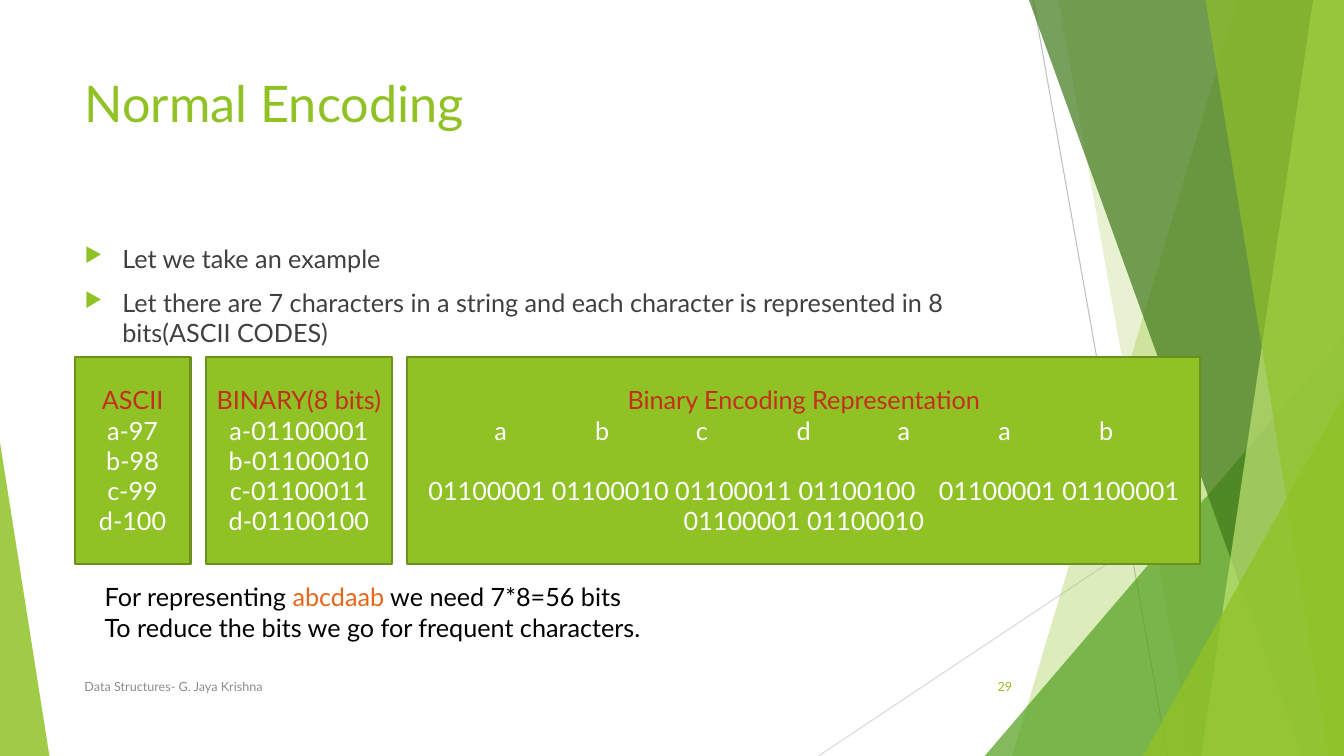
from lxml import etree
from pptx import Presentation
from pptx.dml.color import RGBColor
from pptx.enum.shapes import MSO_CONNECTOR, MSO_SHAPE
from pptx.enum.text import MSO_ANCHOR, PP_ALIGN
from pptx.oxml.ns import qn
from pptx.util import Pt

STRAIGHT = MSO_CONNECTOR.STRAIGHT
RECTANGLE, TRIANGLE = MSO_SHAPE.RECTANGLE, MSO_SHAPE.ISOSCELES_TRIANGLE
TOP, MIDDLE = MSO_ANCHOR.TOP, MSO_ANCHOR.MIDDLE
LEFT, CENTER, RIGHT = PP_ALIGN.LEFT, PP_ALIGN.CENTER, PP_ALIGN.RIGHT

WIDTH, HEIGHT = 960, 540
GREEN, DARK_GREEN, RED, ORANGE = "90C226", "6B901C", "C42F1A", "E76618"
WHITE, BLACK, BODY_GREY, FOOTER_GREY = "FFFFFF", "000000", "404040", "8C8C8C"


def rgb(value):
    return RGBColor.from_string(value)


class SlideBuilder:
    """Holds the font and the slide, and adds one kind of element per method."""

    def __init__(self, slide, font="Lato"):
        self.slide = slide
        self.shapes = slide.shapes
        self.font = font

    def paint(self, shape, color, opacity=100):
        shape.shadow.inherit = False
        shape.fill.solid()
        shape.fill.fore_color.rgb = rgb(color)
        if opacity < 100:
            for clr in shape._element.spPr.iter(qn("a:srgbClr")):
                etree.SubElement(clr, qn("a:alpha"), val=str(opacity * 1000))
        shape.line.fill.background()

    def line(self, start, end, color):
        line = self.shapes.add_connector(STRAIGHT, *map(Pt, start + end))
        line.line.color.rgb = rgb(color)
        line.line.width = Pt(0.75)
        etree.SubElement(line._element.spPr, qn("a:effectLst"))

    def band(self, top_x, bottom_x, color, opacity):
        """A facet from a slanted left edge to the right side of the slide."""
        outline = self.shapes.build_freeform(top_x, -0.5, scale=Pt(1))
        outline.add_line_segments([(WIDTH, -0.5), (WIDTH, HEIGHT), (bottom_x, HEIGHT)])
        self.paint(outline.convert_to_shape(), color, opacity)

    def corner(self, left, top, width, apex, color, opacity):
        """A triangle standing on the bottom edge of the slide."""
        box = map(Pt, (left, top, width, HEIGHT - top))
        triangle = self.shapes.add_shape(TRIANGLE, *box)
        triangle.adjustments[0] = apex
        self.paint(triangle, color, opacity)

    def set_text(self, frame, paragraphs, size, align=LEFT, anchor=TOP, wrap=True):
        """Each paragraph is a list of (text, color) runs."""
        settings = {"word_wrap": wrap, "vertical_anchor": anchor}
        for name, value in settings.items():
            setattr(frame, name, value)
        for index, runs in enumerate(paragraphs):
            paragraph = frame.add_paragraph() if index else frame.paragraphs[0]
            paragraph.alignment = align
            for text, color in runs:
                run = paragraph.add_run()
                run.text = text
                for name, value in {"name": self.font, "size": Pt(size)}.items():
                    setattr(run.font, name, value)
                run.font.color.rgb = rgb(color)
        return frame.paragraphs

    def title(self, box, text):
        title = self.shapes.title
        for name, value in zip(("left", "top", "width", "height"), box):
            setattr(title, name, Pt(value))
        self.set_text(title.text_frame, [[(text, GREEN)]], 36)

    def text(self, box, paragraphs, size=18, **layout):
        frame = self.shapes.add_textbox(*map(Pt, box)).text_frame
        return self.set_text(frame, paragraphs, size, **layout)

    def bullets(self, box, items):
        paragraphs = self.text(box, [[(item, BODY_GREY)] for item in items])
        for index, paragraph in enumerate(paragraphs):
            pPr = paragraph._p.get_or_add_pPr()
            pPr.set("marL", str(Pt(27)))
            pPr.set("indent", str(-Pt(27)))
            if index:
                paragraph.space_before = Pt(10)
            color = etree.SubElement(pPr, qn("a:buClr"))
            etree.SubElement(color, qn("a:srgbClr"), val=GREEN)
            etree.SubElement(pPr, qn("a:buSzPct"), val="80000")
            etree.SubElement(pPr, qn("a:buChar"), char="▶")

    def panel(self, left, width, heading, rows):
        panel = self.shapes.add_shape(RECTANGLE, *map(Pt, (left, 255, width, 147.6)))
        self.paint(panel, GREEN)
        panel.line.color.rgb = rgb(DARK_GREEN)
        panel.line.width = Pt(1.5)
        lines = [[(heading, RED)]] + [[(row, WHITE)] for row in rows]
        return self.set_text(panel.text_frame, lines, 18, CENTER, MIDDLE)


def main():
    prs = Presentation()
    prs.slide_width, prs.slide_height = Pt(WIDTH), Pt(HEIGHT)
    page = SlideBuilder(prs.slides.add_slide(prs.slide_layouts[5]))

    # Faceted background
    page.line((738, 0), (834, HEIGHT), "BFBFBF")
    page.line((WIDTH, 290), (584.6, HEIGHT), "D9D9D9")
    page.band(884, 723, GREEN, 30)
    page.band(756, 852, GREEN, 20)
    page.corner(703.4, 240, 256.6, 1, "54A021", 72)
    page.band(735, 929.5, "3F7819", 70)
    page.band(938, 858, "C0E474", 70)
    page.band(861, 949, GREEN, 65)
    page.corner(816.5, 283, 143.5, 1, GREEN, 80)
    page.corner(0, 316, 35.3, 0, GREEN, 85)

    # Title and introduction
    page.title((53.3, 48, 677, 104), "Normal Encoding")
    page.bullets((53.3, 170, 677, 305), [
        "Let we take an example",
        "Let there are 7 characters in a string and each character "
        "is represented in 8 bits(ASCII CODES)",
    ])

    # Code tables
    codes = {letter: ord(letter) for letter in "abcd"}
    page.panel(53.3, 82.8, "ASCII", [f"{c}-{n}" for c, n in codes.items()])
    page.panel(146.9, 133.2, "BINARY(8 bits)",
               [f"{c}-{n:08b}" for c, n in codes.items()])

    # Encoded string
    heading, letters, bits = page.panel(
        290.9, 566.6, "Binary Encoding Representation",
        ["\t\t".join("abcdaab"),
         "01100001 01100010 01100011 01100100\t 01100001 01100001 01100001 01100010"])
    for tabbed in (letters, bits):
        tabbed._p.get_or_add_pPr().set("defTabSz", str(Pt(36)))
    bits.space_before = Pt(21.6)

    # Conclusion
    page.text((67.7, 412, 425, 72.7), [
        [("For representing ", BLACK), ("abcdaab", ORANGE),
         (" we need 7*8=56 bits", BLACK)],
        [("To reduce the bits we go for frequent characters.", BLACK)],
    ], wrap=False)

    # Footer
    page.text((53.3, 476, 496, 28.8), [[("Data Structures- G. Jaya Krishna", FOOTER_GREY)]],
              size=9, anchor=MIDDLE)
    page.text((676, 476, 54, 28.8), [[("29", GREEN)]], size=9, align=RIGHT, anchor=MIDDLE)

    prs.save("out.pptx")


if __name__ == "__main__":
    main()
